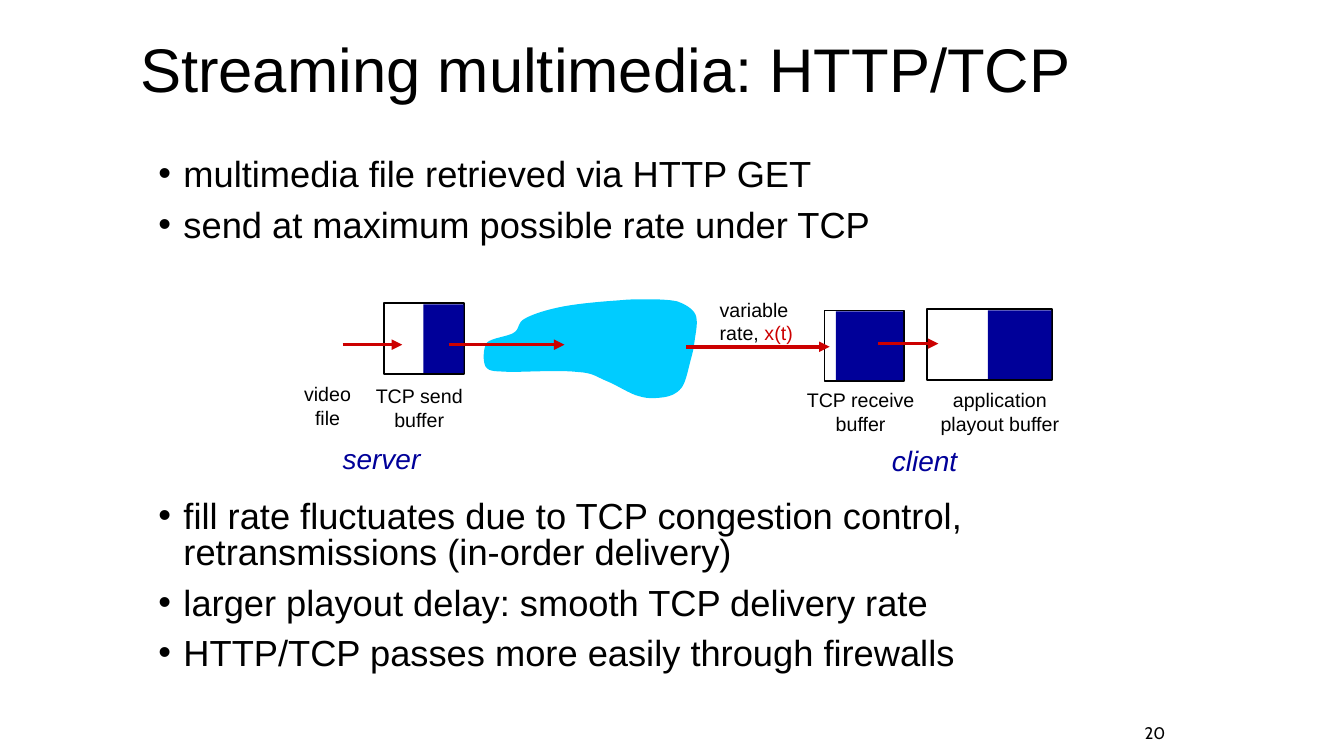
from lxml import etree
from pptx import Presentation
from pptx.dml.color import RGBColor
from pptx.enum import shapes, text
from pptx.oxml.ns import qn
from pptx.util import Pt

BLACK, NAVY, RED, CYAN = "000000", "000099", "CC0000", "00CCFF"
LEFT, CENTER, RIGHT = text.PP_ALIGN.LEFT, text.PP_ALIGN.CENTER, text.PP_ALIGN.RIGHT
TOP, MIDDLE = text.MSO_ANCHOR.TOP, text.MSO_ANCHOR.MIDDLE

presentation = Presentation()
presentation.slide_width, presentation.slide_height = Pt(960), Pt(540)
slide = presentation.slides.add_slide(presentation.slide_layouts[6])


def color(value):
    return RGBColor.from_string(value)


def add_text(box, paragraphs, size, align=LEFT, anchor=TOP, wrap=True, bullets=False,
             spacing=None, **font):
    """Add a text box; each paragraph is a list of (words, colour) runs."""
    frame = slide.shapes.add_textbox(*map(Pt, box)).text_frame
    frame.word_wrap, frame.vertical_anchor = wrap, anchor
    for index, runs in enumerate(paragraphs):
        paragraph = frame.add_paragraph() if index else frame.paragraphs[0]
        paragraph.alignment = align
        if spacing:
            paragraph.line_spacing = spacing
        if bullets:
            paragraph.space_before = Pt(10 if index else 0)
            properties = paragraph._p.get_or_add_pPr()
            properties.set("marL", str(Pt(18)))
            properties.set("indent", str(-Pt(18)))
            etree.SubElement(properties, qn("a:buFont")).set("typeface", "Arial")
            etree.SubElement(properties, qn("a:buChar")).set("char", "•")
        for words, shade in runs:
            run = paragraph.add_run()
            run.text = words
            run.font.color.rgb = color(shade)
            for key, value in {"name": "Arial", "size": Pt(size), **font}.items():
                setattr(run.font, key, value)


# Title and bullets
add_text((93, 18, 699, 68), [[("Streaming multimedia: HTTP/TCP", BLACK)]], 44,
         anchor=MIDDLE, spacing=0.9)
bullet_blocks = [
    (109.5, 80, ["multimedia file retrieved via HTTP GET",
                 "send at maximum possible rate under TCP"]),
    (353.5, 150, ["fill rate fluctuates due to TCP congestion control, "
                  "retransmissions (in-order delivery)",
                  "larger playout delay: smooth TCP delivery rate",
                  "HTTP/TCP passes more easily through firewalls"]),
]
for top, height, lines in bullet_blocks:
    add_text((106, top, 734, height), [[(line, BLACK)] for line in lines], 25.9,
             bullets=True, spacing=0.84)

# Network cloud: cubic curves sampled as short segments, in hundredths of a point
cloud_start = (441.4, 214.6)
cloud_curves = [
    (431.3, 215.3, 414, 216.7, 402.5, 218.9),
    (391.7, 221, 381.6, 223.9, 375.1, 227.5),
    (369.4, 230.4, 371.5, 234.7, 367.2, 237.6),
    (362.9, 240.5, 351.4, 241.2, 347.8, 244.8),
    (344.9, 249.1, 344.9, 258.5, 347, 262.1),
    (349.9, 265.7, 353.5, 265, 364.3, 265.7),
    (375.1, 265.7, 401, 264.2, 412.6, 265.7),
    (424.1, 266.4, 426.2, 269.3, 433.4, 272.2),
    (440.6, 275, 450, 281.5, 456.5, 283),
    (463, 285.1, 469.4, 284.4, 474.5, 283.7),
    (478.8, 283, 483.1, 281.5, 486.7, 277.2),
    (489.6, 273.6, 491, 266.4, 492.5, 260.6),
    (493.9, 254.9, 495.4, 250.6, 496.1, 244.1),
    (496.8, 238.3, 499, 229.7, 496.8, 224.6),
    (494.6, 220.3, 489.6, 217.4, 483.8, 215.3),
    (477.4, 213.8, 467.3, 213.8, 460.1, 213.8),
    (452.9, 213.8, 450.7, 213.8, 441.4, 214.6),
]
STEPS = 8
points, start = [], cloud_start
for x1, y1, x2, y2, x3, y3 in cloud_curves:
    for step in range(1, STEPS + 1):
        t = step / STEPS
        weights = ((1 - t) ** 3, 3 * t * (1 - t) ** 2, 3 * t * t * (1 - t), t ** 3)
        points.append([100 * sum(w * v for w, v in zip(weights, axis))
                       for axis in ((start[0], x1, x2, x3), (start[1], y1, y2, y3))])
    start = (x3, y3)
builder = slide.shapes.build_freeform(100 * cloud_start[0], 100 * cloud_start[1], scale=Pt(0.01))
builder.add_line_segments(points, close=True)
cloud = builder.convert_to_shape()
cloud.shadow.inherit = False
cloud.fill.solid()
cloud.fill.fore_color.rgb = color(CYAN)
cloud.line.fill.background()

# Buffers: an outline, then the filled part (left, top, width, fill left, fill width)
buffers = [
    (274.3, 216.7, 56.9, 302.4, 28.8),  # TCP send
    (589, 221.8, 56.9, 597, 48.2),      # TCP receive
    (662.4, 221, 89.3, 705.6, 45.4),    # application playout
]
for left, top, width, fill_left, fill_width in buffers:
    outline = slide.shapes.add_shape(shapes.MSO_SHAPE.RECTANGLE, Pt(left), Pt(top),
                                     Pt(width), Pt(50.4))
    outline.shadow.inherit = False
    outline.fill.background()
    outline.line.color.rgb = color(BLACK)
    outline.line.width = Pt(1.25)
    content = slide.shapes.add_shape(shapes.MSO_SHAPE.RECTANGLE, Pt(fill_left), Pt(top + 0.7),
                                     Pt(fill_width), Pt(49))
    content.shadow.inherit = False
    content.fill.solid()
    content.fill.fore_color.rgb = color(NAVY)
    content.line.fill.background()

# Data flow arrows (from x, to x, y)
for x1, x2, y in [(244.8, 287.3, 246.2), (320.4, 403.2, 246.2),
                  (490.3, 592.6, 247.7), (627, 670.3, 245.5)]:
    arrow = slide.shapes.add_connector(shapes.MSO_CONNECTOR.STRAIGHT, Pt(x1), Pt(y), Pt(x2), Pt(y))
    arrow.line.color.rgb = color(RED)
    arrow.line.width = Pt(2.5)
    etree.SubElement(arrow.line._get_or_add_ln(), qn("a:tailEnd")).set("type", "triangle")
    etree.SubElement(arrow._element.spPr, qn("a:effectLst"))

# Diagram labels
add_text((507, 209, 77, 42), [[("variable rate, ", BLACK), ("x(t)", RED)]], 14)
for left, top, width, lines in [(252.7, 270.7, 93.6, ["TCP send buffer"]),
                                (187.2, 269.3, 93.6, ["video", "file"]),
                                (568, 273.6, 93.6, ["TCP receive buffer"]),
                                (658.8, 273.6, 110.9, ["application playout buffer"])]:
    add_text((left, top, width, 41), [[(line, BLACK)] for line in lines], 14, align=CENTER)
for left, top, width, side in [(237.6, 311.8, 70.6, "server"), (630, 313.2, 61.9, "client")]:
    add_text((left, top, width, 31.7), [[(side, NAVY)]], 20, wrap=False, italic=True)

# Slide number
add_text((785.5, 512.6, 54, 21.6), [[("20", BLACK)]], 12, align=RIGHT, anchor=MIDDLE, name="Cabin")

presentation.save("out.pptx")
